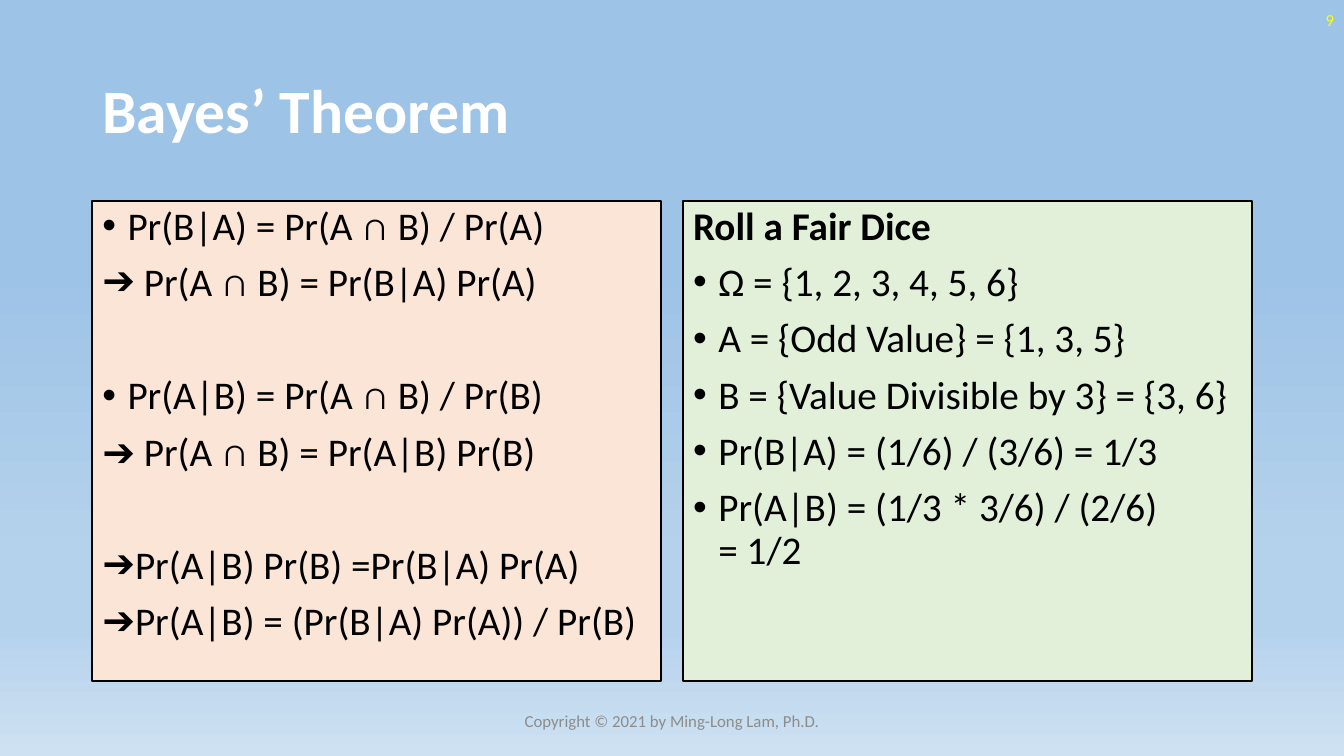
from pptx import Presentation
from pptx.dml.color import RGBColor
from pptx.enum.shapes import MSO_SHAPE
from pptx.enum.text import MSO_ANCHOR, PP_ALIGN
from pptx.oxml.ns import qn
from pptx.util import Pt
from lxml.etree import SubElement

FONT = "Calibri"
BLACK = RGBColor(0, 0, 0)
WHITE = RGBColor(255, 255, 255)
YELLOW = RGBColor(255, 255, 0)
GRAY = RGBColor(0x8C, 0x8C, 0x8C)
PEACH = RGBColor(0xFB, 0xE5, 0xD6)
MINT = RGBColor(0xE2, 0xF0, 0xD9)
SKY = [
    (35, RGBColor(0x9D, 0xC3, 0xE6)),
    (74, RGBColor(0xB5, 0xD2, 0xEC)),
    (83, RGBColor(0xB5, 0xD2, 0xEC)),
    (100, RGBColor(0xCE, 0xE1, 0xF2)),
]

GAP = 10
GROUP_GAP = 50.75
DERIVATION = [
    ("•", "Pr(B|A) = Pr(A ∩ B) / Pr(A)", 0),
    ("➔", " Pr(A ∩ B) = Pr(B|A) Pr(A)", GAP),
    ("•", "Pr(A|B) = Pr(A ∩ B) / Pr(B)", GROUP_GAP),
    ("", "➔ Pr(A ∩ B) = Pr(A|B) Pr(B)", GAP),
    ("➔", "Pr(A|B) Pr(B) =Pr(B|A) Pr(A)", GROUP_GAP),
    ("➔", "Pr(A|B) = (Pr(B|A) Pr(A)) / Pr(B)", GAP),
]
EXAMPLE = [
    ("", "Roll a Fair Dice", 0),
    ("•", "Ω = {1, 2, 3, 4, 5, 6}", GAP),
    ("•", "A = {Odd Value} = {1, 3, 5}", GAP),
    ("•", "B = {Value Divisible by 3} = {3, 6}", GAP),
    ("•", "Pr(B|A) = (1/6) / (3/6) = 1/3", GAP),
    ("•", "Pr(A|B) = (1/3 * 3/6) / (2/6)\n= 1/2", GAP),
]
PANELS = [(DERIVATION, PEACH, False), (EXAMPLE, MINT, True)]
LABELS = [
    ("Bayes’ Theorem", (66, 28.75, 828, 104.4), 44, WHITE, True, PP_ALIGN.LEFT),
    ("9", (744, 0, 216, 28.75), 12, YELLOW, False, PP_ALIGN.RIGHT),
    ("Copyright © 2021 by Ming-Long Lam, Ph.D.", (318, 500.5, 324, 28.75),
     12, GRAY, False, PP_ALIGN.CENTER),
]
PANEL_LEFT, PANEL_TOP, PANEL_W, PANEL_H, PANEL_STEP = 66, 143.75, 406, 342.6, 422

prs = Presentation()
prs.slide_width, prs.slide_height = Pt(960), Pt(540)
s = prs.slides.add_slide(prs.slide_layouts[6])


def paint_background():
    fill = s.background.fill
    fill.gradient()
    fill.gradient_angle = 270
    stops = s.element.find(".//" + qn("a:gsLst"))
    for old in list(stops):
        stops.remove(old)
    for pos, color in SKY:
        stop = SubElement(stops, qn("a:gs"), pos=str(pos * 1000))
        SubElement(stop, qn("a:srgbClr"), val=str(color))


def add_text(p, text, size, color, bold):
    for i, line in enumerate(text.split("\n")):
        if i:
            p.add_line_break()
        r = p.add_run()
        r.text = line
        r.font.name, r.font.size, r.font.bold = FONT, Pt(size), bold
        r.font.color.rgb = color


def add_label(text, box, size, color, bold, align):
    tf = s.shapes.add_textbox(*map(Pt, box)).text_frame
    tf.word_wrap = True
    tf.vertical_anchor = MSO_ANCHOR.MIDDLE
    p = tf.paragraphs[0]
    p.alignment = align
    p.line_spacing = 0.9 if bold else 1.0
    add_text(p, text, size, color, bold)


def add_panel(left, lines, color, headed):
    sp = s.shapes.add_shape(MSO_SHAPE.RECTANGLE, Pt(left), Pt(PANEL_TOP),
                            Pt(PANEL_W), Pt(PANEL_H))
    sp.shadow.inherit = False
    sp.fill.solid()
    sp.fill.fore_color.rgb = color
    sp.line.color.rgb = BLACK
    sp.line.width = Pt(1.5)
    tf = sp.text_frame
    tf.word_wrap = True
    tf.vertical_anchor = MSO_ANCHOR.TOP
    for i, (bullet, text, before) in enumerate(lines):
        p = tf.add_paragraph() if i else tf.paragraphs[0]
        if bullet:
            pPr = p._p.get_or_add_pPr()
            pPr.set("marL", str(Pt(18)))
            pPr.set("indent", str(-Pt(18)))
            SubElement(pPr, qn("a:buFont"), typeface="Arial")
            SubElement(pPr, qn("a:buChar"), char=bullet)
        p.alignment = PP_ALIGN.LEFT
        p.line_spacing = 0.9
        p.space_before = Pt(before)
        add_text(p, text, 28, BLACK, headed and i == 0)


paint_background()
for n, panel in enumerate(PANELS):
    add_panel(PANEL_LEFT + n * PANEL_STEP, *panel)
for label in LABELS:
    add_label(*label)

prs.save("out.pptx")
